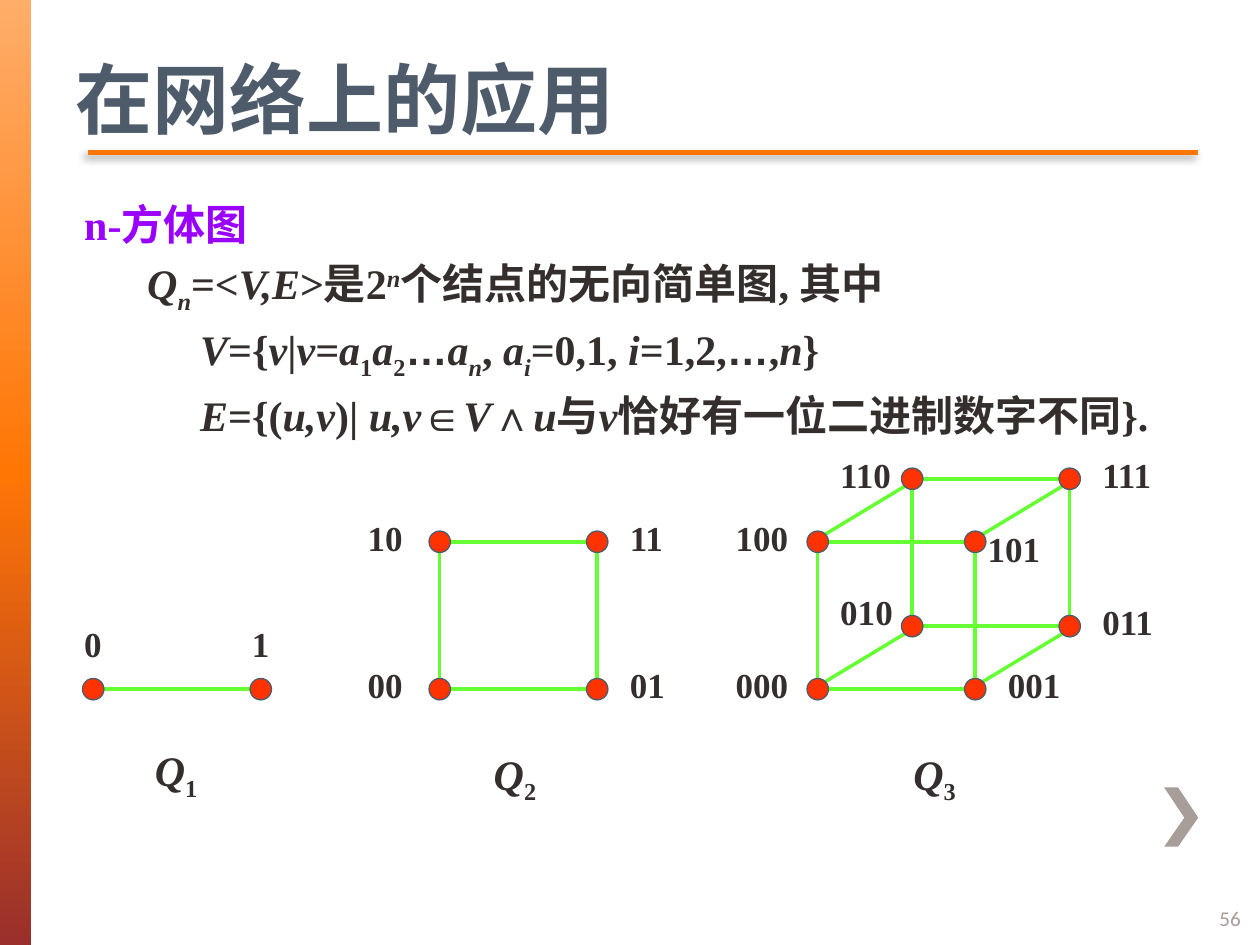
from itertools import combinations
from math import copysign, hypot

from pptx import Presentation
from pptx import util as u
from pptx.dml.color import RGBColor
from pptx.enum import shapes, text
from pptx.oxml import parse_xml
from pptx.oxml.ns import nsdecls, qn

COLORS = {
    "title": "4D5B6B", "text": "342E2C", "heading": "9900FF", "accent": "FF7605",
    "node": "FF3300", "edge": "66FF33", "muted": "A79D99",
}
SERIF, SANS, ARIAL = "Times New Roman", "Calibri", "Arial"
RADIUS = 0.085


def rgb(name):
    return RGBColor.from_string(COLORS[name])


class Slide:
    """Holds the style and the current slide; one method per kind of element."""

    def __init__(self, prs):
        self.s = prs.slides.add_slide(prs.slide_layouts[6])

    def shape(self, kind, x, y, w, h, fill, line=None):
        sp = self.s.shapes.add_shape(kind, *map(u.Inches, (x, y, w, h)))
        self.paint(sp, fill, line)
        return sp

    def paint(self, sp, fill, line=None):
        sp.shadow.inherit = False
        sp.fill.solid()
        sp.fill.fore_color.rgb = rgb(fill)
        if line:
            sp.line.color.rgb = rgb(line)
            sp.line.width = u.Pt(0.75)
        else:
            sp.line.fill.background()

    def gradient_bar(self, x, y, w, h, stops):
        sp = self.shape(shapes.MSO_SHAPE.RECTANGLE, x, y, w, h, "accent")
        marks = "".join(f'<a:gs pos="{pos * 1000}"><a:srgbClr val="{color}"/></a:gs>'
                        for pos, color in stops)
        grad = parse_xml(f'<a:gradFill {nsdecls("a")}><a:gsLst>{marks}</a:gsLst>'
                         '<a:lin ang="5400000" scaled="0"/></a:gradFill>')
        pr = sp._element.spPr
        pr.replace(pr.find(qn("a:solidFill")), grad)

    def outline(self, points, fill):
        fb = self.s.shapes.build_freeform(*map(u.Inches, points[0]))
        fb.add_line_segments([tuple(map(u.Inches, pt)) for pt in points[1:]])
        self.paint(fb.convert_to_shape(), fill)

    def line(self, start, end, color, width, effect=""):
        ln = self.s.shapes.add_connector(
            shapes.MSO_CONNECTOR.STRAIGHT, *map(u.Inches, (*start, *end)))
        ln.line.color.rgb = rgb(color)
        ln.line.width = u.Pt(width)
        ln._element.spPr.append(parse_xml(
            f'<a:effectLst {nsdecls("a")}>{effect}</a:effectLst>'))

    def box(self, x, y, w, h):
        tf = self.s.shapes.add_textbox(*map(u.Inches, (x, y, w, h))).text_frame
        tf.word_wrap = True
        return tf

    def text(self, x, y, w, h, words, size, font=SERIF, color="text", bold=True):
        tf = self.box(x, y, w, h)
        tf.text = words
        self.style(tf.paragraphs[0].runs[0], size, font, color, bold)
        return tf

    def style(self, r, size, font=SERIF, color="text", bold=True):
        r.font.size = u.Pt(size)
        r.font.name = font
        r.font.bold = bold
        r.font.color.rgb = rgb(color)

    def math(self, p, runs, size=24, color="text"):
        """Flags: i italic, _ subscript, ^ superscript, A Arial."""
        for words, flags in runs:
            r = p.add_run()
            r.text = words
            self.style(r, size, ARIAL if "A" in flags else SERIF, color)
            r.font.italic = "i" in flags
            if "_" in flags:
                r.font._element.set("baseline", "-25000")
            if "^" in flags:
                r.font._element.set("baseline", "30000")

    def hypercube(self, bits, origin, axes, label_shifts):
        """Draw Q_n: each 1 in a code moves its node along that bit's axis."""
        nodes = {}
        for i in range(2 ** bits):
            code = f"{i:0{bits}b}"
            moves = [a for a, bit in zip(axes, code) if bit == "1"]
            nodes[code] = tuple(o + sum(m[k] for m in moves)
                                for k, o in enumerate(origin))
        # Edges join codes that differ in exactly one bit
        for a, b in combinations(nodes, 2):
            if sum(p != q for p, q in zip(a, b)) == 1:
                (x1, y1), (x2, y2) = nodes[a], nodes[b]
                sx = copysign(1, x2 - x1) if x1 != x2 else 0
                sy = copysign(1, y2 - y1) if y1 != y2 else 0
                trim = RADIUS / hypot(sx, sy)
                self.line((x1 + sx * trim, y1 + sy * trim),
                          (x2 - sx * trim, y2 - sy * trim), "edge", 2)
        # Nodes and their labels
        for code, (x, y) in nodes.items():
            self.shape(shapes.MSO_SHAPE.FLOWCHART_CONNECTOR, x - RADIUS, y - RADIUS,
                       2 * RADIUS, 2 * RADIUS, "node", "title")
            side = (0.16, -0.25) if code[-1] == "1" else (-0.67, -0.25)
            dx, dy = label_shifts.get(code, side)
            self.text(x + dx, y + dy, 0.75, 0.43, code, 20)


def main():
    prs = Presentation()
    prs.slide_width, prs.slide_height = u.Inches(10), u.Inches(7.5)
    s = Slide(prs)

    # Side bar, chevron and title rule
    s.gradient_bar(0, 0, 0.25, 7.5, [(0, "FFAD69"), (50, "FF7605"), (100, "9A2F2C")])
    s.outline([(9.35, 6.25), (9.24, 6.25), (9.4, 6.49), (9.24, 6.72),
               (9.35, 6.72), (9.51, 6.49)], "muted")
    s.line((0.7, 1.21), (9.51, 1.21), "accent", 2.5,
           '<a:outerShdw blurRad="63500" dist="38100" dir="8100000" rotWithShape="0">'
           '<a:srgbClr val="000000"><a:alpha val="45000"/></a:srgbClr></a:outerShdw>')

    # Title and page number
    s.text(0.5, 0.36, 9, 0.79, "在网络上的应用", 44, SANS, "title")
    tf = s.text(9.58, 7.09, 0.42, 0.4, "56", 12, SANS, "muted", False)
    tf.vertical_anchor = text.MSO_ANCHOR.MIDDLE

    # Definition: left margin, colour, runs
    definition = [
        (0, "heading", [("n-方体图", "")]),
        (0.5, "text", [("Q", "i"), ("n", "i_"), ("=<", ""), ("V,E", "i"), (">是2", ""),
                       ("n", "i^"), ("个结点的无向简单图, 其中", "")]),
        (0.92, "text", [("V", "i"), ("={", ""), ("v", "i"), ("|", ""), ("v=a", "i"),
                        ("1", "_"), ("a", "i"), ("2", "_"), ("…", "A"), ("a", "i"),
                        ("n", "i_"), (", ", ""), ("a", "i"), ("i", "i_"),
                        ("=0,1, ", ""), ("i", "i"), ("=1,2,", ""), ("…", "A"),
                        (",", ""), ("n", "i"), ("}", "")]),
        (0.92, "text", [("E", "i"), ("={(", ""), ("u,v", "i"), (")| ", ""), ("u,v", "i"),
                        ("∈", ""), ("V", "i"), ("∧", ""), ("u", "i"), ("与", ""),
                        ("v", "i"), ("恰好有一位二进制数字不同}.", "")]),
    ]
    tf = s.box(0.57, 1.53, 9.09, 3.08)
    for i, (margin, color, runs) in enumerate(definition):
        p = tf.add_paragraph() if i else tf.paragraphs[0]
        if i:
            p.space_before = u.Pt(4.8)
        p._p.get_or_add_pPr().set("marL", str(u.Inches(margin)))
        s.math(p, runs, color=color)

    # Hypercubes, one axis per bit
    right, up, back = (1.25, 0), (0, -1.17), (0.75, -0.5)
    s.hypercube(1, (0.74, 5.47), [(1.33, 0)], {"0": (-0.17, -0.58), "1": (-0.17, -0.58)})
    s.hypercube(2, (3.49, 5.47), [up, right], {})
    s.hypercube(3, (6.49, 5.47), [up, back, right],
                {"000": (-0.75, -0.25), "100": (-0.75, -0.25),
                 "010": (-0.67, -0.33), "101": (0, -0.16)})

    # Captions
    for n, x, y in [("1", 1.13, 5.86), ("2", 3.82, 5.89), ("3", 7.15, 5.89)]:
        s.math(s.box(x, y, 0.75, 0.5).paragraphs[0], [("Q", "i"), (n, "_")])

    prs.save("out.pptx")


if __name__ == "__main__":
    main()
